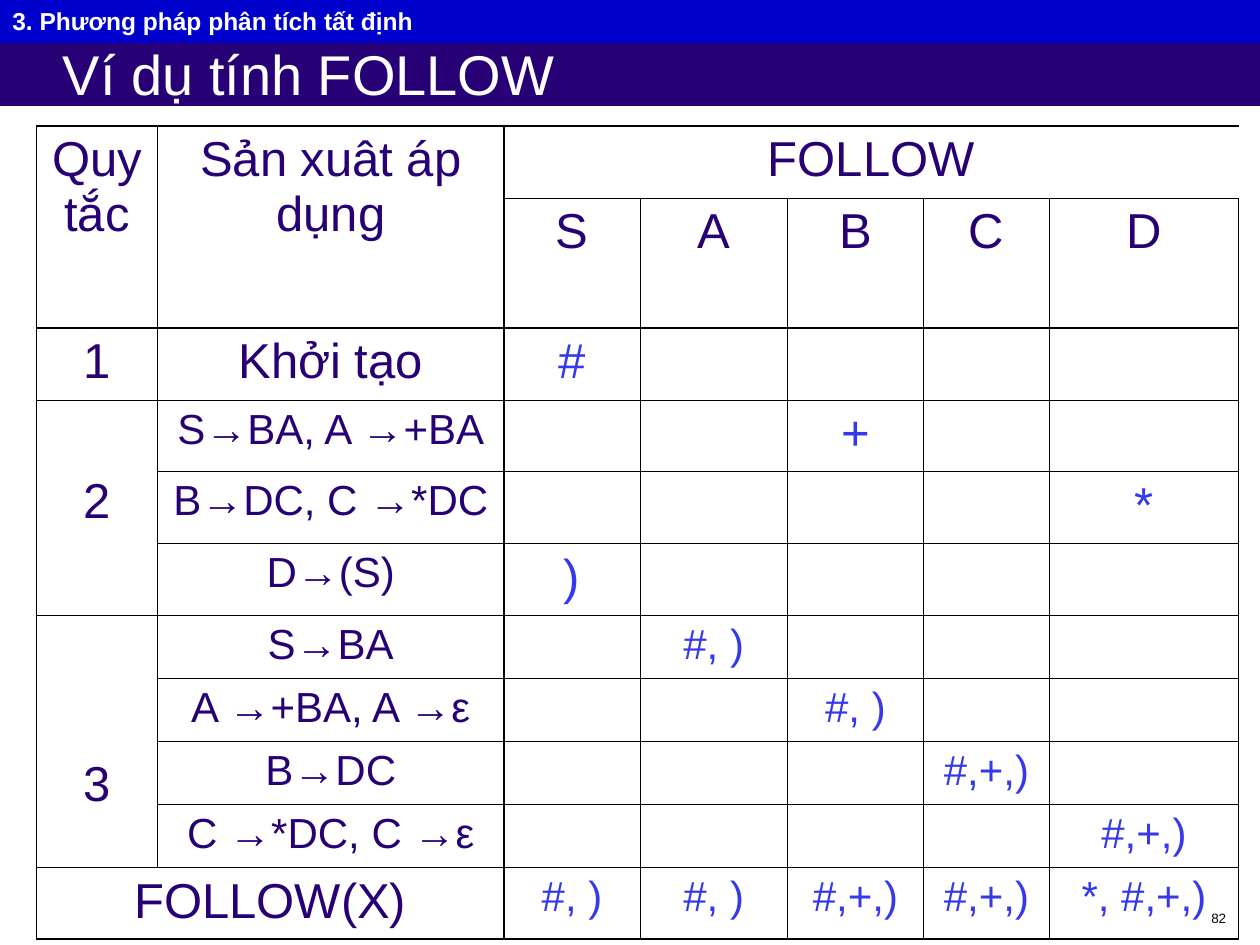
from dataclasses import dataclass

from lxml import etree
from pptx import Presentation
from pptx import util as u
from pptx.dml.color import RGBColor
from pptx.enum import shapes, text
from pptx.oxml import ns

PURPLE, BLUE, BLACK, WHITE = "270076", "3539EB", "000000", "FFFFFF"
NO_STYLE = "{2D5ABB26-0587-4C30-8999-92F81FD0307C}"
THICK = 1.08
HEADER_ROWS, LABEL_COLS = 2, 2
FIRST_RULE_3_ROW = 6
COL_WIDTHS = [0.96, 2.75, 1.08, 1.17, 1.08, 1, 1.5]
ROW_HEIGHTS = [0.57, 1.03] + [0.57] * 4 + [0.5] * 4 + [0.57]
ROWS = [
    ["Quy tắc", "Sản xuât áp dụng", "FOLLOW", "", "", "", ""],
    ["", "", "S", "A", "B", "C", "D"],
    ["1", "Khởi tạo", "#", "", "", "", ""],
    ["2", "S→BA, A →+BA", "", "", "+", "", ""],
    ["", "B→DC, C →*DC", "", "", "", "", "*"],
    ["", "D→(S)", ")", "", "", "", ""],
    ["3", "S→BA", "", "#, )", "", "", ""],
    ["", "A →+BA, A →ε", "", "", "#, )", "", ""],
    ["", "B→DC", "", "", "", "#,+,)", ""],
    ["", "C →*DC, C →ε", "", "", "", "", "#,+,)"],
    ["FOLLOW(X)", "", "#, )", "#, )", "#,+,)", "#,+,)", "*, #,+,)"],
]
# First and last (row, column) of each merged area
MERGES = [((0, 0), (1, 0)), ((0, 1), (1, 1)), ((0, 2), (0, 6)),
          ((3, 0), (5, 0)), ((6, 0), (9, 0)), ((10, 0), (10, 1))]
# Top margins that lower the numbers of rules 2 and 3
RULE_TOPS = {(3, 0): 0.59, (6, 0): 1.13}


@dataclass
class Bar:
    label: str
    top: float
    height: float
    fill: str
    size: float
    bold: bool
    inset: float
    margin: float
    anchor: text.MSO_ANCHOR


BARS = [
    Bar("Ví dụ tính FOLLOW", 0.32, 0.52, PURPLE, 32, False, 0.5, 0,
        text.MSO_ANCHOR.MIDDLE),
    Bar("3. Phương pháp phân tích tất định", 0, 0.34, "0000CC", 14, True, 0.1, 0.05,
        text.MSO_ANCHOR.TOP),
]


def rgb(value: str) -> RGBColor:
    return RGBColor.from_string(value)


def write(tf, label: str, size: float, color: str, align, bold: bool = False) -> None:
    tf.text = label
    p = tf.paragraphs[0]
    p.alignment = align
    for r in p.runs:
        r.font.name = "Arial"
        r.font.size = u.Pt(size)
        r.font.bold = bold
        r.font.color.rgb = rgb(color)


def add_bar(s, bar: Bar) -> None:
    sp = s.shapes.add_shape(shapes.MSO_SHAPE.RECTANGLE, 0, u.Inches(bar.top),
                            u.Inches(10), u.Inches(bar.height))
    sp.shadow.inherit = False
    sp.fill.solid()
    sp.fill.fore_color.rgb = rgb(bar.fill)
    sp.line.fill.background()
    tf = sp.text_frame
    tf.margin_left = u.Inches(bar.inset)
    tf.margin_top = tf.margin_bottom = u.Inches(bar.margin)
    tf.vertical_anchor = bar.anchor
    write(tf, bar.label, bar.size, WHITE, text.PP_ALIGN.LEFT, bar.bold)


def add_page_number(s) -> None:
    sp = s.shapes.add_textbox(u.Inches(7.75), u.Inches(7.17), u.Inches(2.08), u.Inches(0.24))
    sp.text_frame.word_wrap = True
    write(sp.text_frame, "82", 7.7, BLACK, text.PP_ALIGN.RIGHT)


def add_border(cell, side: str, width: float) -> None:
    ln = etree.SubElement(cell._tc.get_or_add_tcPr(), ns.qn(f"a:ln{side}"),
                          w=str(int(u.Pt(width))))
    fill = etree.SubElement(ln, ns.qn("a:solidFill"))
    etree.SubElement(fill, ns.qn("a:srgbClr"), val=BLACK)


def border_area(table, row: int, col: int) -> None:
    """Outline a cell, or the merged area that starts at it."""
    origin = table.cell(row, col)
    height = origin.span_height if origin.is_merge_origin else 1
    width = origin.span_width if origin.is_merge_origin else 1
    bottom, right = row + height, col + width
    thin = 0.45 if col < LABEL_COLS else 0.34
    thick_cols = (0, LABEL_COLS, len(COL_WIDTHS))
    thick_rows = (0, HEADER_ROWS, len(ROW_HEIGHTS))
    for i in range(row, bottom):
        for j in range(col, right):
            for side, edge, outer, thick in (("L", j, col, thick_cols),
                                             ("R", j + 1, right, thick_cols),
                                             ("T", i, row, thick_rows),
                                             ("B", i + 1, bottom, thick_rows)):
                if edge == outer:
                    add_border(table.cell(i, j), side, THICK if edge in thick else thin)


def text_size(row: int, col: int) -> int:
    """Productions and the sets from rule 3 on are smaller."""
    production = col == 1 and row > HEADER_ROWS
    late_set = col >= LABEL_COLS and row >= FIRST_RULE_3_ROW
    return 24 if production or late_set else 28


def add_follow_table(s) -> None:
    frame = s.shapes.add_table(len(ROWS), len(COL_WIDTHS), u.Inches(0.29), u.Inches(1),
                               u.Inches(sum(COL_WIDTHS)), u.Inches(sum(ROW_HEIGHTS)))
    table = frame.table
    table.first_row = table.horz_banding = False
    table._tbl.tblPr.find(ns.qn("a:tableStyleId")).text = NO_STYLE
    for column, width in zip(table.columns, COL_WIDTHS):
        column.width = u.Inches(width)
    for row, height in zip(table.rows, ROW_HEIGHTS):
        row.height = u.Inches(height)
    for first, last in MERGES:
        table.cell(*first).merge(table.cell(*last))

    for i, labels in enumerate(ROWS):
        for j, label in enumerate(labels):
            cell = table.cell(i, j)
            if not cell.is_spanned:
                border_area(table, i, j)
            cell.fill.background()
            cell.margin_top = u.Inches(RULE_TOPS.get((i, j), 0.05))
            if label:
                is_set = i >= HEADER_ROWS and j >= LABEL_COLS
                write(cell.text_frame, label, text_size(i, j),
                      BLUE if is_set else PURPLE, text.PP_ALIGN.CENTER)


def main() -> None:
    prs = Presentation()
    prs.slide_width, prs.slide_height = u.Inches(10), u.Inches(7.5)
    s = prs.slides.add_slide(prs.slide_layouts[6])
    add_page_number(s)
    for bar in BARS:
        add_bar(s, bar)
    add_follow_table(s)
    prs.save("out.pptx")


if __name__ == "__main__":
    main()
